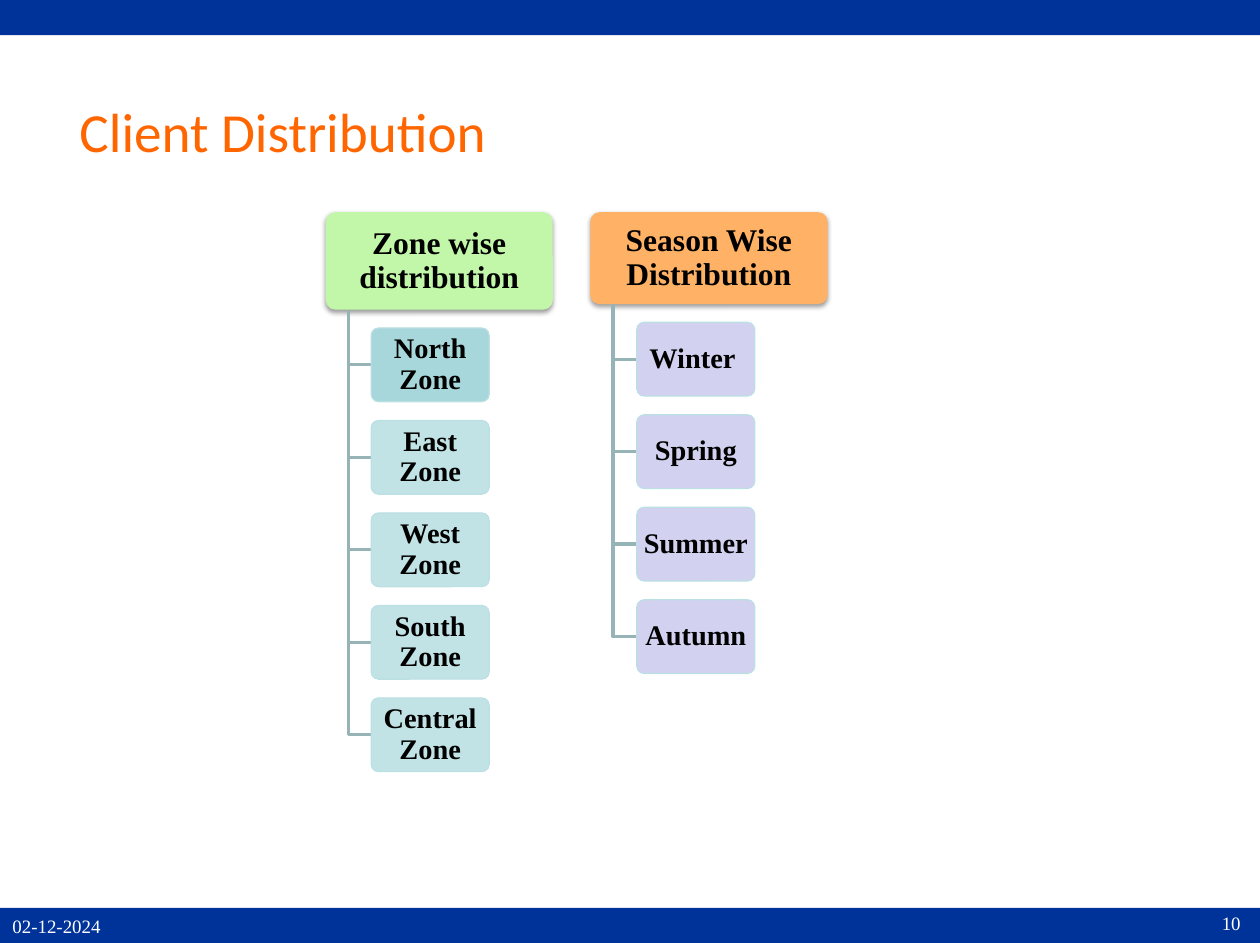
"""Build the client distribution slide with two hanging trees."""
from lxml import etree
from pptx import Presentation
from pptx import util as u
from pptx.dml.color import RGBColor
from pptx.enum import shapes, text
from pptx.oxml import ns

HEX = {
    "bar": "003399", "title": "FF6600", "white": "FFFFFF", "black": "000000",
    "green": "C2F6A8", "orange": "FFB265", "north": "9ED3D7",
    "zone": "BBE0E3", "season": "CECEEF", "edge": "BBE0E3", "link": "96B3B6",
}
SERIF = "Times New Roman"
ALIGN = text.PP_ALIGN
ANCHOR = text.MSO_ANCHOR


def write(shape, words, size, color, font=SERIF, align=ALIGN.LEFT,
          anchor=ANCHOR.TOP, pad=(0.11, 0.06)):
    frame = shape.text_frame
    frame.text = words
    frame.word_wrap = True
    frame.vertical_anchor = anchor
    frame.margin_left = frame.margin_right = u.Inches(pad[0])
    frame.margin_top = frame.margin_bottom = u.Inches(pad[1])
    para = frame.paragraphs[0]
    para.alignment = align
    run = para.runs[0].font
    run.name, run.size = font, u.Pt(size)
    run.color.rgb = RGBColor.from_string(HEX[color])
    return para


def block(kind, box, color, words=None, size=18):
    shape = slide.shapes.add_shape(kind, *map(u.Inches, box))
    shape.shadow.inherit = False
    shape.fill.solid()
    shape.fill.fore_color.rgb = RGBColor.from_string(HEX[color])
    shape.line.fill.background()
    if words:
        shape.adjustments[0] = 0.1
        para = write(shape, words, size, "black", align=ALIGN.CENTER,
                     anchor=ANCHOR.MIDDLE, pad=(0.02, 0.02))
        para.line_spacing = 0.9
        para.runs[0].font.bold = True
    return shape


deck = Presentation()
deck.slide_width, deck.slide_height = u.Inches(11.1), u.Inches(8.31)
slide = deck.slides.add_slide(deck.slide_layouts[6])

for top in (0, 8):
    block(shapes.MSO_SHAPE.RECTANGLE, (0, top, 11.1, 0.31), "bar")

labels = [
    ((0.59, 0.45, 7.91, 1.39), "Client Distribution", 35, "title", "Calibri",
     ALIGN.LEFT, ANCHOR.MIDDLE),
    ((0, 8, 2.31, 0.55), "02-12-2024", 12, "white"),
    ((8.73, 7.97, 2.31, 0.55), "10", 12, "white", SERIF, ALIGN.RIGHT),
]
for box, *style in labels:
    write(slide.shapes.add_textbox(*map(u.Inches, box)), *style)

zones = ["North Zone", "East Zone", "West Zone", "South Zone", "Central Zone"]
seasons = ["Winter ", "Spring", "Summer", "Autumn"]
trees = [
    ("Zone wise distribution", (2.87, 1.87, 2, 0.86), "green",
     3.07, 3.27, "zone", zones),
    ("Season Wise Distribution", (5.2, 1.87, 2.09, 0.81), "orange",
     5.4, 5.61, "season", seasons),
]
WIDE, HIGH, GAP = 1.04, 0.65, 0.16
STEP = 3.26 / 4

for head, box, color, stem, left, tint, items in trees:
    root = block(shapes.MSO_SHAPE.ROUNDED_RECTANGLE, box, color, head, 20)
    glow = root._element.spPr.find(ns.qn("a:effectLst"))
    shade = etree.SubElement(glow, ns.qn("a:outerShdw"), blurRad=str(u.Pt(3.1)),
                             dist=str(u.Pt(1.6)), dir="5400000", rotWithShape="0")
    ink = etree.SubElement(shade, ns.qn("a:srgbClr"), val=HEX["black"])
    etree.SubElement(ink, ns.qn("a:alpha"), val="38000")

    base = box[1] + box[3]
    for row, item in enumerate(items):
        top = base + GAP + row * STEP
        mid = top + HIGH / 2
        path = slide.shapes.build_freeform(u.Inches(stem), u.Inches(base))
        path.add_line_segments([(u.Inches(stem), u.Inches(mid)),
                                (u.Inches(left), u.Inches(mid))], close=False)
        link = path.convert_to_shape()
        link.shadow.inherit = False
        link.fill.background()
        link.line.color.rgb = RGBColor.from_string(HEX["link"])
        link.line.width = u.Pt(2)

        fill = "north" if item == "North Zone" else tint
        leaf = block(shapes.MSO_SHAPE.ROUNDED_RECTANGLE,
                     (left, top, WIDE, HIGH), fill, item)
        leaf.line.color.rgb = RGBColor.from_string(HEX["edge"])
        leaf.line.width = u.Pt(0.75)
        tone = leaf._element.spPr.find(ns.qn("a:solidFill"))[0]
        etree.SubElement(tone, ns.qn("a:alpha"), val="90000")

deck.save("out.pptx")
